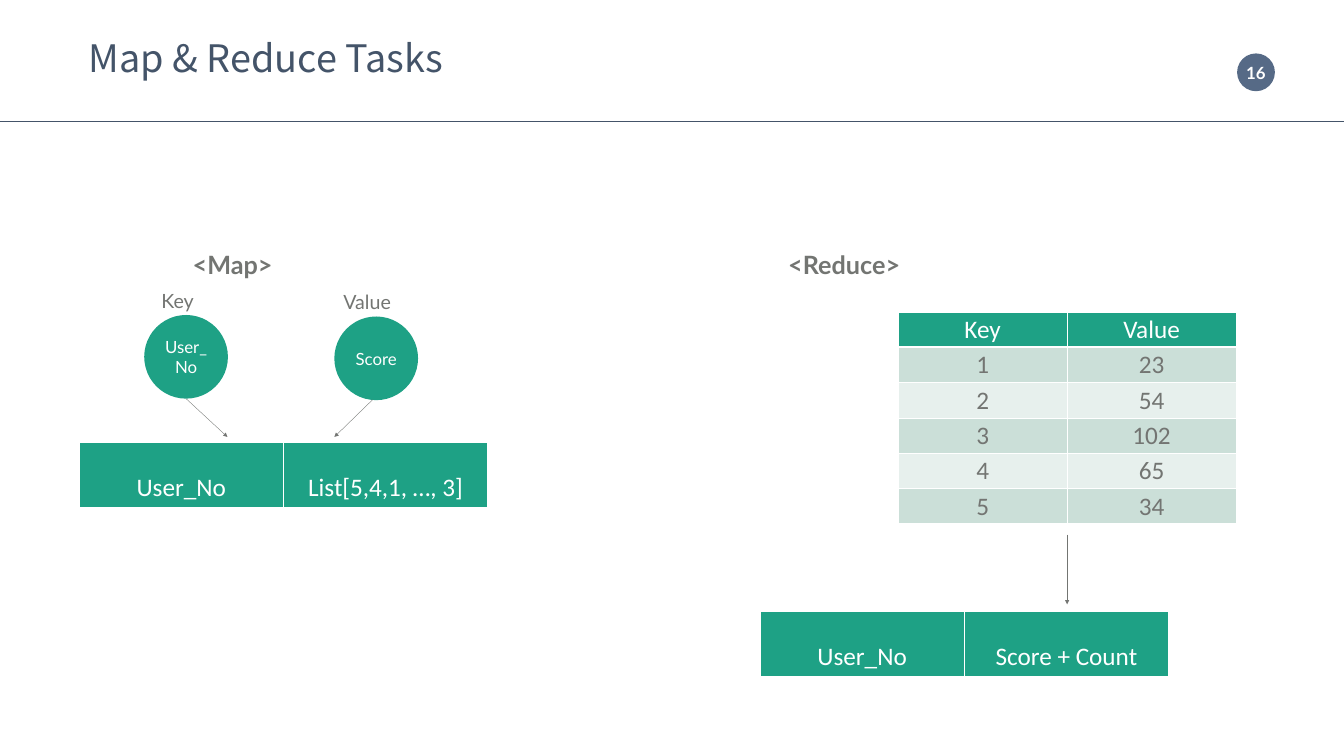
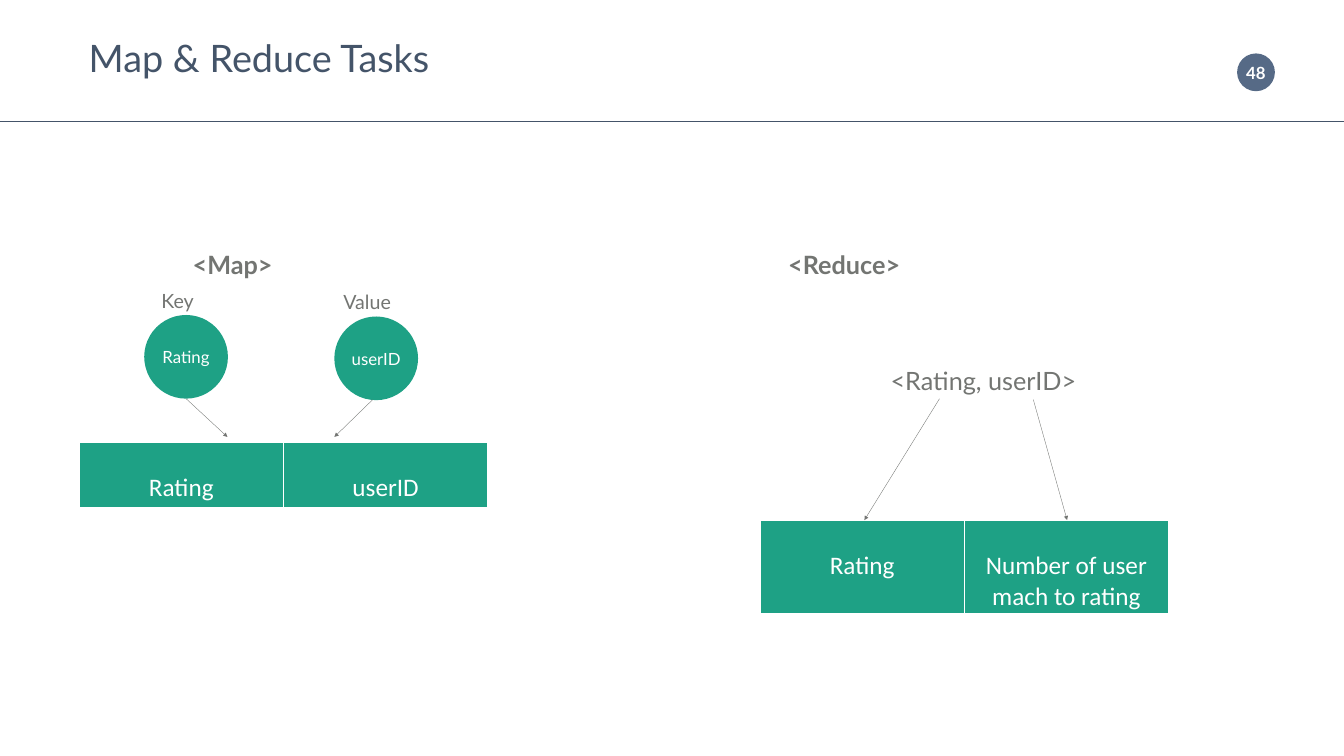
import pptx
import pptx.dml.color
import pptx.enum.shapes
import pptx.enum.text
import pptx.oxml
import pptx.oxml.ns
import pptx.util
from lxml import etree

PX = 9144
RGB = pptx.dml.color.RGBColor
WHITE = RGB(0xFF, 0xFF, 0xFF)
NAVY = RGB(0x44, 0x54, 0x69)
SLATE = RGB(0x56, 0x6A, 0x86)
GRAY = RGB(0x73, 0x75, 0x72)
GREEN = RGB(0x1E, 0xA1, 0x85)
BAND_DARK = RGB(0xCB, 0xDF, 0xD8)
BAND_LIGHT = RGB(0xE7, 0xF0, 0xED)

SLIDE_WIDTH, SLIDE_HEIGHT = 2665, 1500
INSET = 5
MAP_BOX = (157, 459)
REDUCE_BOX = (1507, 459)
CIRCLE = 166
COLUMN = 405
SCORES = [("Key", "Value"), ("1", "23"), ("2", "54"), ("3", "102"), ("4", "65"), ("5", "34")]


def emu(*lengths):
    """Turn px lengths into EMU."""
    return [pptx.util.Emu(length * PX) for length in lengths]


def style_text(frame, text, size, color, font="Lato", bold=False, centred=False, spacing=None):
    """Write one paragraph into a text frame and format it."""
    frame.text = text
    paragraph = frame.paragraphs[0]
    if centred:
        paragraph.alignment = pptx.enum.text.PP_ALIGN.CENTER
    if spacing:
        paragraph.line_spacing = spacing
    run_font = paragraph.runs[0].font
    run_font.name, run_font.size, run_font.bold = font, pptx.util.Pt(size), bold
    run_font.color.rgb = color


def set_margins(area, top=INSET):
    """Give a text frame or a table cell the common insets."""
    area.margin_left, area.margin_right, area.margin_bottom, area.margin_top = emu(INSET, INSET, INSET, top)


def add_label(slide, left, top, width, height, text, size, color=GRAY, **style):
    """Add a line of free text."""
    frame = slide.shapes.add_textbox(*emu(left, top, width, height)).text_frame
    frame.word_wrap = False
    set_margins(frame)
    style_text(frame, text, size, color, **style)


def add_heading(slide, left, top, text):
    """Add the bold heading of one side."""
    add_label(slide, left, top, 320, 100, text, 36, bold=True, spacing=1.5)


def add_disc(slide, left, top, diameter, fill, text, **style):
    """Add a filled circle with white centred text."""
    disc = slide.shapes.add_shape(
        pptx.enum.shapes.MSO_SHAPE.OVAL, *emu(left, top, diameter, diameter))
    disc.shadow.inherit = False
    disc.fill.solid()
    disc.fill.fore_color.rgb = fill
    disc.line.fill.background()
    set_margins(disc.text_frame)
    disc.text_frame.vertical_anchor = pptx.enum.text.MSO_ANCHOR.MIDDLE
    style_text(disc.text_frame, text, 24, WHITE, centred=True, **style)
    return disc


def add_line(slide, start, end, color, width, arrow=False):
    """Add a straight line, with an arrowhead at its end if asked."""
    line = slide.shapes.add_connector(
        pptx.enum.shapes.MSO_CONNECTOR.STRAIGHT, *emu(*start, *end))
    line.line.color.rgb = color
    line.line.width = pptx.util.Pt(width)
    if arrow:
        etree.SubElement(line.line._get_or_add_ln(), pptx.oxml.ns.qn("a:tailEnd"), type="triangle")
    etree.SubElement(line._element.spPr, pptx.oxml.ns.qn("a:effectLst"))


def add_arrow(slide, box, start, end):
    """Add a thin gray arrow between two points of a box."""
    left, top = box
    add_line(slide, (left + start[0], top + start[1]), (left + end[0], top + end[1]), GRAY, 0.5, True)


def set_borders(cell, bottom):
    """Give a cell white borders, with its own width at the bottom."""
    properties = cell._tc.get_or_add_tcPr()
    for index, (side, width) in enumerate([("L", 1), ("R", 1), ("T", 1), ("B", bottom)]):
        properties.insert(index, pptx.oxml.parse_xml(
            f'<a:ln{side} {pptx.oxml.ns.nsdecls("a")} w="{width * 12700}">'
            f'<a:solidFill><a:srgbClr val="{WHITE}"/></a:solidFill></a:ln{side}>'))


def add_grid(slide, left, top, column, heights, rows, margin_top=INSET):
    """Add a two-column table with a green first row and banded rows below."""
    table = slide.shapes.add_table(
        len(rows), 2, *emu(left, top, 2 * column, sum(heights))).table
    table.first_row = table.horz_banding = False
    for table_column in table.columns:
        table_column.width = emu(column)[0]
    for index, (height, values) in enumerate(zip(heights, rows)):
        table.rows[index].height = emu(height)[0]
        fill = (BAND_DARK if index % 2 else BAND_LIGHT) if index else GREEN
        for cell, value in zip(table.rows[index].cells, values):
            set_margins(cell, margin_top)
            cell.fill.solid()
            cell.fill.fore_color.rgb = fill
            style_text(cell.text_frame, value, 36, GRAY if index else WHITE, "Calibri", centred=True)
            set_borders(cell, 1 if index else 3)


def add_pair(slide, left, top, key, value, height=131):
    """Add the green key and value bar."""
    add_grid(slide, left, top, COLUMN, [height], [(key, value)], margin_top=60)


def add_header(slide, number, title_font):
    """Add the title, the rule below it and the page badge."""
    badge = add_disc(slide, 2453, 106, 75, SLATE, number, bold=True)
    badge.text_frame.word_wrap = False
    add_line(slide, (0, 241), (SLIDE_WIDTH, 241), NAVY, 1)
    add_label(slide, 171, 45, 760, 96, "Map & Reduce Tasks", 54, NAVY, font=title_font, spacing=1.2)


def add_map(slide, box, inputs, outputs):
    """Add the map side: two labelled circles that lead to a bar."""
    left, top = box
    add_heading(slide, left + 220, top, "<Map>")
    circles = [("Key", 129, 166, 29, 78), ("Value", 506, 169, 13, 108)]
    for (label, x, y, indent, width), text in zip(circles, inputs):
        add_disc(slide, left + x, top + y, CIRCLE, GREEN, text)
        add_label(slide, left + x + indent, top + y - 57, width, 57, label, 28)
    add_arrow(slide, box, (212, 332), (294, 408))
    add_arrow(slide, box, (582, 334), (506, 408))
    add_pair(slide, left, top + 418, *outputs)


def add_score_reduce(slide, box):
    """Add the reduce side with the score table."""
    left, top = box
    add_pair(slide, left, top + 754, "User_No", "Score + Count")
    add_arrow(slide, box, (609, 602), (609, 740))
    add_grid(slide, left + 274, top + 160, 335, [52] + [41] * 5, SCORES)


def add_rating_reduce(slide, box):
    """Add the reduce side that splits a rating pair."""
    left, top = box
    add_pair(slide, left, top + 573, "Rating", "Number of user mach to rating", 187)
    add_label(slide, left + 254, top + 261, 389, 70, "<Rating, userID>", 36)
    add_arrow(slide, box, (542, 334), (609, 573))
    add_arrow(slide, box, (356, 332), (207, 573))


def main():
    """Build both slides and save them."""
    deck = pptx.Presentation()
    deck.slide_width, deck.slide_height = emu(SLIDE_WIDTH, SLIDE_HEIGHT)
    pages = [
        ("16", "Noto Sans CJK KR", ("User_No", "Score"), ("User_No", "List[5,4,1, …, 3]"), add_score_reduce),
        ("48", "Lato", ("Rating", "userID"), ("Rating", "userID"), add_rating_reduce),
    ]
    for number, title_font, inputs, outputs, add_reduce in pages:
        slide = deck.slides.add_slide(deck.slide_layouts[6])
        add_header(slide, number, title_font)
        add_map(slide, MAP_BOX, inputs, outputs)
        add_heading(slide, REDUCE_BOX[0] + 51, REDUCE_BOX[1], "<Reduce>")
        add_reduce(slide, REDUCE_BOX)
    deck.save("out.pptx")


if __name__ == "__main__":
    main()
